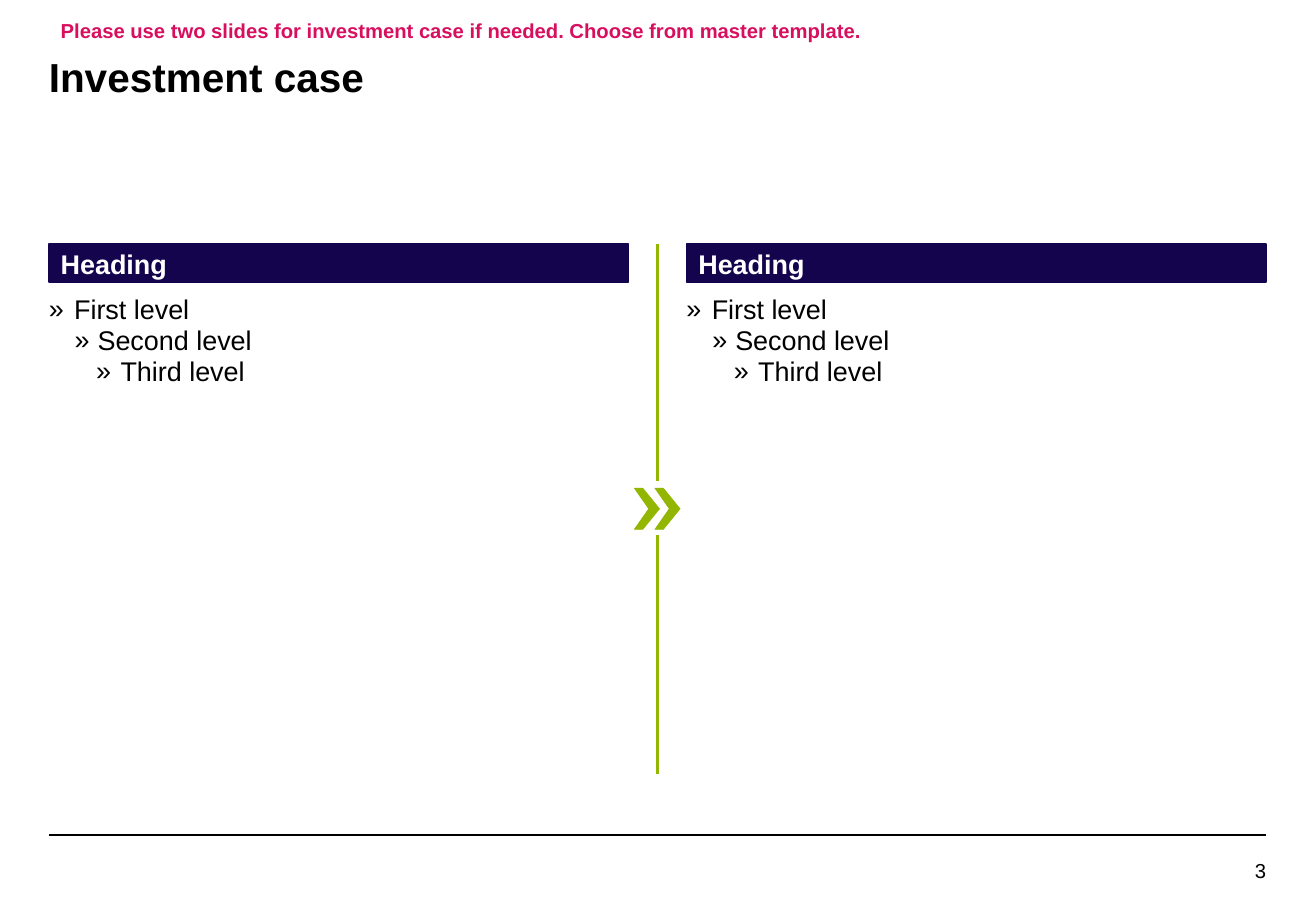
"""Build the investment case slide with two headed lists and a divider."""
from lxml import etree
from pptx import Presentation
from pptx.dml.color import RGBColor
from pptx.enum.shapes import MSO_CONNECTOR, MSO_SHAPE
from pptx.enum.text import MSO_ANCHOR, MSO_AUTO_SIZE, PP_ALIGN
from pptx.oxml.ns import qn
from pptx.util import Cm, Pt

STRAIGHT = MSO_CONNECTOR.STRAIGHT
RECTANGLE = MSO_SHAPE.RECTANGLE
TOP, MIDDLE = MSO_ANCHOR.TOP, MSO_ANCHOR.MIDDLE
LEFT, RIGHT = PP_ALIGN.LEFT, PP_ALIGN.RIGHT
NO_AUTOFIT = MSO_AUTO_SIZE.NONE

BLACK, WHITE, NAVY, GREEN, PINK = "000000", "FFFFFF", "14044E", "92B602", "D80F5F"
MARGIN, CONTENT_WIDTH = 1.02, 25.45
COLUMN_WIDTH = 12.12
COLUMN_LEFTS = (MARGIN, MARGIN + CONTENT_WIDTH - COLUMN_WIDTH)
LIST_ITEMS = (
    ("First level", 0.53, -0.53),
    ("Second level", 1.02, -0.48),
    ("Third level", 1.5, -0.51),
)
CHEVRON = ((0, 0), (0.18, 0), (0.53, 0.43), (0.18, 0.86), (0, 0.86), (0.3, 0.43))


def paint(target, color, line_width=None):
    """Colour a font, or the line and any fill of a shape."""
    rgb = RGBColor.from_string(color)
    if line_width is None:
        target.color.rgb = rgb
        return
    target.line.color.rgb = rgb
    target.line.width = Pt(line_width)
    if hasattr(target, "fill"):
        target.fill.solid()
        target.fill.fore_color.rgb = rgb
        target.shadow.inherit = False
    else:
        etree.SubElement(target._element.spPr, qn("a:effectLst"))


def write(shape, text, size, color, bold=False, align=LEFT, anchor=TOP, inset=0):
    """Put one formatted paragraph into a shape."""
    frame = shape.text_frame
    frame.word_wrap = True
    frame.auto_size = NO_AUTOFIT
    frame.vertical_anchor = anchor
    frame.margin_left = Cm(inset)
    frame.margin_top = frame.margin_right = frame.margin_bottom = 0
    paragraph = frame.paragraphs[0]
    paragraph.text = text
    paragraph.alignment = align
    font = paragraph.font
    font.name, font.size, font.bold = "Arial", Pt(size), bold
    paint(font, color)
    return paragraph


presentation = Presentation()
presentation.slide_width, presentation.slide_height = Cm(27.51), Cm(19.05)
slide = presentation.slides.add_slide(presentation.slide_layouts.get_by_name("Two Content"))
shapes = slide.shapes
title, *lists = slide.placeholders

footer_line = shapes.add_connector(
    STRAIGHT, Cm(MARGIN + CONTENT_WIDTH), Cm(17.46), Cm(MARGIN), Cm(17.46))
paint(footer_line, BLACK, 1)
page_number = shapes.add_textbox(Cm(24.21), Cm(17.98), Cm(2.26), Cm(0.48))
write(page_number, "3", 12, BLACK, align=RIGHT).line_spacing = 0.95

title.left, title.top = Cm(MARGIN), Cm(1.09)
title.width, title.height = Cm(CONTENT_WIDTH), Cm(2.13)
write(title, "Investment case", 24, BLACK, bold=True)

for left, body in zip(COLUMN_LEFTS, lists):
    heading = shapes.add_shape(RECTANGLE, Cm(left), Cm(5.11), Cm(COLUMN_WIDTH), Cm(0.79))
    paint(heading, NAVY, 1)
    write(heading, "Heading", 16, WHITE, bold=True, anchor=MIDDLE, inset=0.25)

    body.left, body.top = Cm(left), Cm(6.17)
    body.width, body.height = Cm(COLUMN_WIDTH), Cm(1.96)
    frame = body.text_frame
    frame.auto_size = NO_AUTOFIT
    frame.margin_left = frame.margin_top = frame.margin_right = frame.margin_bottom = 0
    frame.text = "\n".join(text for text, _, _ in LIST_ITEMS)
    for level, (paragraph, item) in enumerate(zip(frame.paragraphs, LIST_ITEMS)):
        paragraph.level = level
        paragraph.line_spacing = 0.95
        paragraph.space_before = Pt(0)
        properties = paragraph._p.get_or_add_pPr()
        properties.set("marL", str(Cm(item[1])))
        properties.set("indent", str(Cm(item[2])))
        etree.SubElement(properties, qn("a:buFont"), typeface="Arial")
        etree.SubElement(properties, qn("a:buChar"), char="»")
        paragraph.font.name, paragraph.font.size = "Arial", Pt(16)
        paint(paragraph.font, BLACK)

divider = shapes.add_group_shape().shapes
divider_line = divider.add_connector(STRAIGHT, Cm(13.74), Cm(5.11), Cm(13.74), Cm(16.18))
paint(divider_line, GREEN, 1.5)
gap = divider.add_shape(RECTANGLE, Cm(13.26), Cm(10.08), Cm(0.94), Cm(1.09))
paint(gap, WHITE, 0.75)
for chevron_left in (13.26, 13.69):
    points = [(Cm(chevron_left + x), Cm(10.21 + y)) for x, y in CHEVRON]
    builder = divider.build_freeform(*points[0])
    builder.add_line_segments(points[1:], close=True)
    paint(builder.convert_to_shape(), GREEN, 0.25)

hint = shapes.add_textbox(Cm(MARGIN), Cm(0.25), Cm(25.48), Cm(0.76))
write(hint, "Please use two slides for investment case if needed. Choose from master template.",
      12, PINK, bold=True, anchor=MIDDLE, inset=0.25)

presentation.save("out.pptx")
